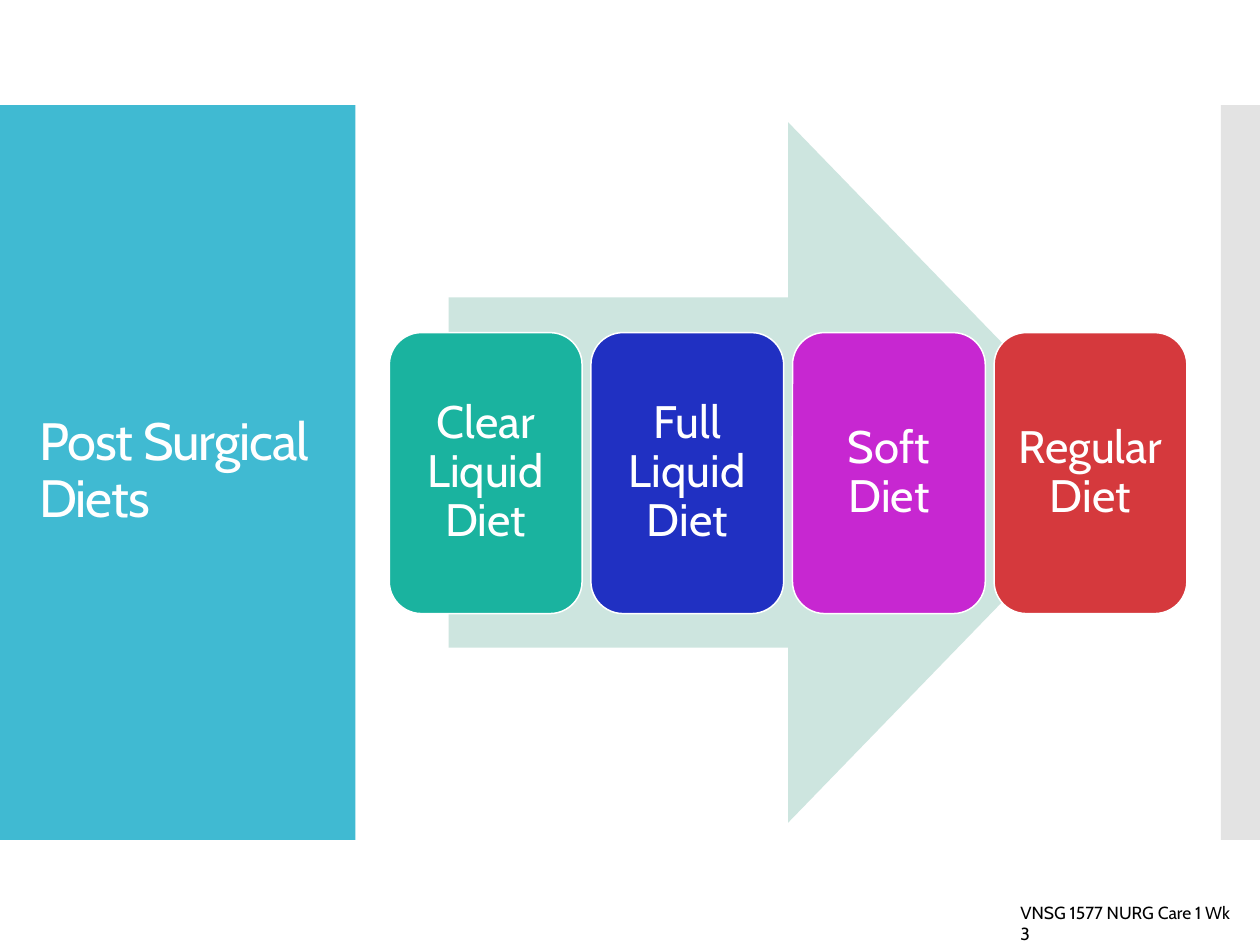
from lxml.etree import SubElement
from pptx import Presentation
from pptx.dml.color import RGBColor
from pptx.enum.shapes import MSO_SHAPE
from pptx.enum.text import MSO_ANCHOR, MSO_AUTO_SIZE, PP_ALIGN
from pptx.oxml.ns import qn
from pptx.util import Inches, Pt

FONT = "Cabin"
WHITE = RGBColor(0xFF, 0xFF, 0xFF)
BLACK = RGBColor(0x00, 0x00, 0x00)
SKY = RGBColor(0x40, 0xBA, 0xD2)
GRAY = RGBColor(0xC8, 0xC8, 0xC8)
MINT = RGBColor(0xCD, 0xE5, 0xDF)
TEAL = RGBColor(0x1A, 0xB3, 0x9F)
BLUE = RGBColor(0x20, 0x30, 0xC2)
MAGENTA = RGBColor(0xC7, 0x27, 0xD1)
RED = RGBColor(0xD5, 0x39, 0x3D)

# Slide measures in inches
WIDTH, HEIGHT = 10, 7.5
BAND_TOP, BAND_HEIGHT = HEIGHT / 9, HEIGHT * 7 / 9
CARD_LEFT, CARD_TOP = 3.09, 2.64
CARD_WIDTH, CARD_HEIGHT, CARD_STEP = 1.53, 2.23, 1.6

presentation = Presentation()
presentation.slide_width = Inches(WIDTH)
presentation.slide_height = Inches(HEIGHT)
slide = presentation.slides.add_slide(presentation.slide_layouts[5])


def add_filled_shape(kind, left, top, width, height, color):
    shape = slide.shapes.add_shape(
        kind, Inches(left), Inches(top), Inches(width), Inches(height))
    shape.shadow.inherit = False
    shape.fill.solid()
    shape.fill.fore_color.rgb = color
    shape.line.fill.background()
    return shape


def add_text(paragraph, text, size, color):
    run = paragraph.add_run()
    run.text = text
    run.font.name = FONT
    run.font.size = Pt(size)
    run.font.color.rgb = color
    return run


# Side panels
title_panel = add_filled_shape(
    MSO_SHAPE.RECTANGLE, 0, BAND_TOP, 2.82, BAND_HEIGHT, SKY)
edge_panel = add_filled_shape(
    MSO_SHAPE.RECTANGLE, 9.69, BAND_TOP, WIDTH - 9.69, BAND_HEIGHT, GRAY)
edge_color = edge_panel.fill._xPr.find(qn("a:solidFill"))[0]
SubElement(edge_color, qn("a:alpha"), val="50000")

# Title, brought in front of the panels
title = slide.shapes.title
edge_panel.element.addnext(title.element)
title.left, title.top = Inches(0.21), Inches(1.23)
title.width, title.height = Inches(2.42), Inches(5.03)
title.text_frame.auto_size = MSO_AUTO_SIZE.NONE
title.text_frame.vertical_anchor = MSO_ANCHOR.MIDDLE
paragraph = title.text_frame.paragraphs[0]
paragraph.alignment = PP_ALIGN.LEFT
paragraph.line_spacing = 0.9
run = add_text(paragraph, "Post Surgical Diets", 30, WHITE)
run.font._element.set("spc", "-60")

# Arrow behind the diet cards
add_filled_shape(MSO_SHAPE.RIGHT_ARROW, 3.56, 0.97, 5.39, 5.56, MINT)

# Diet cards in order of progress
diets = [
    ("Clear Liquid Diet", TEAL),
    ("Full Liquid Diet", BLUE),
    ("Soft Diet", MAGENTA),
    ("Regular Diet", RED),
]
for column, (diet, color) in enumerate(diets):
    card = add_filled_shape(
        MSO_SHAPE.ROUNDED_RECTANGLE, CARD_LEFT + column * CARD_STEP, CARD_TOP,
        CARD_WIDTH, CARD_HEIGHT, color)
    card.line.color.rgb = WHITE
    card.line.width = Pt(0.85)
    frame = card.text_frame
    frame.word_wrap = True
    frame.vertical_anchor = MSO_ANCHOR.MIDDLE
    frame.margin_left = frame.margin_right = Inches(0.1)
    frame.margin_top = frame.margin_bottom = Inches(0.1)
    paragraph = frame.paragraphs[0]
    paragraph.alignment = PP_ALIGN.CENTER
    paragraph.line_spacing = 0.9
    add_text(paragraph, diet, 26, WHITE)

# Course footer
footer = slide.shapes.add_textbox(
    Inches(0.8 * WIDTH), Inches(7.11), Inches(1.93), Inches(0.27))
footer.text_frame.word_wrap = True
add_text(footer.text_frame.paragraphs[0], "VNSG 1577 NURG Care 1 Wk 3", 10, BLACK)

presentation.save("out.pptx")
